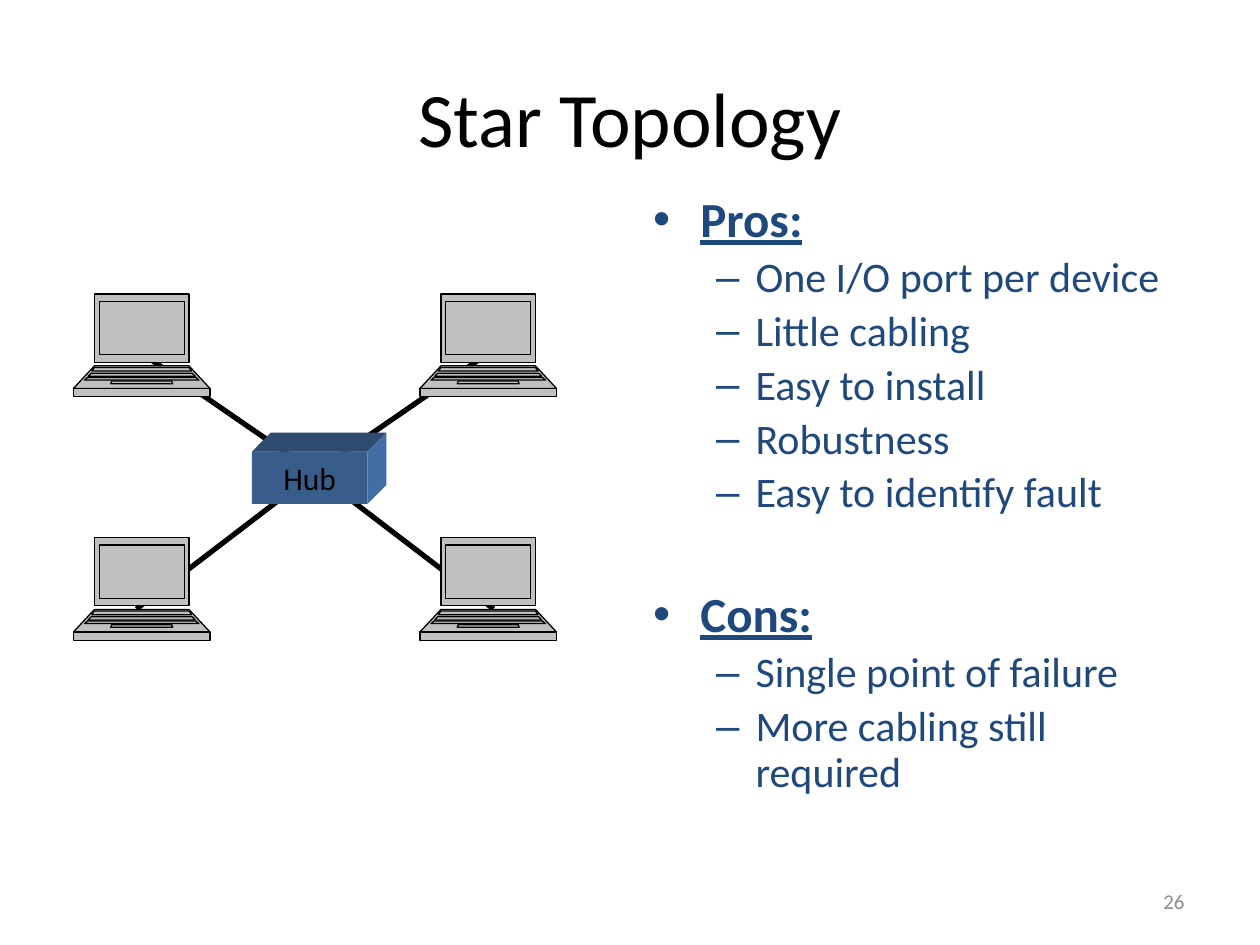
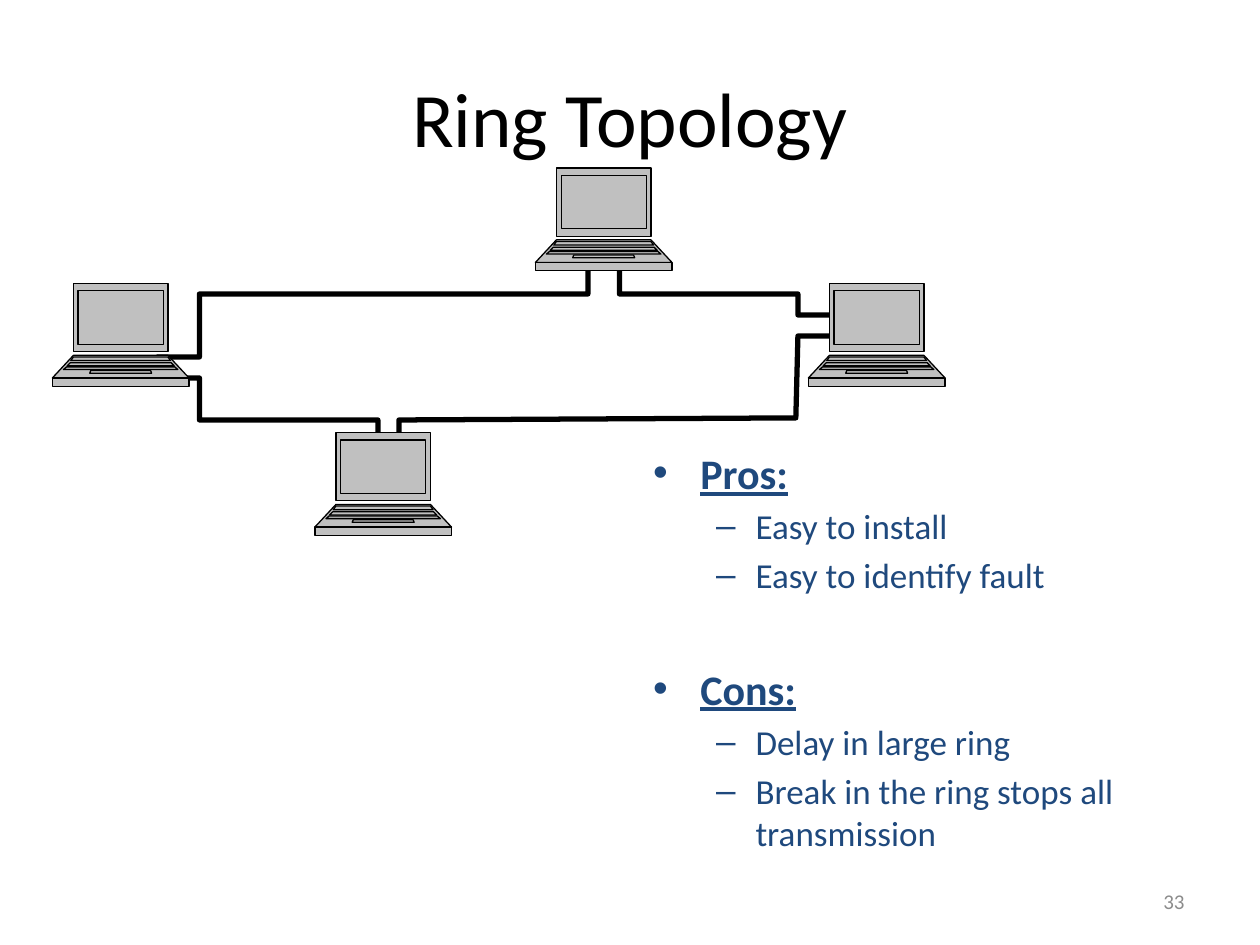
from lxml import etree
from pptx import Presentation
from pptx import util as u
from pptx.dml.color import RGBColor
from pptx.enum import shapes, text
from pptx.oxml.ns import qn

CELL = u.Inches(1) / 12  # the slide is a grid of 120 columns by 90 rows
FONT = "Calibri"
BLACK = RGBColor(0x00, 0x00, 0x00)
NAVY = RGBColor(0x1F, 0x49, 0x7D)
GRAY = RGBColor(0x8C, 0x8C, 0x8C)
SILVER = RGBColor(0xC0, 0xC0, 0xC0)
HUB_FRONT = RGBColor(0x38, 0x5D, 0x8A)
HUB_TOP = RGBColor(0x2F, 0x4B, 0x70)
HUB_SIDE = RGBColor(0x42, 0x6E, 0xA6)

# Each laptop part is symmetric: top, bottom, half width at top and at bottom
LAPTOP_CENTER = 6.5
LAPTOP_PARTS = {
    "lid": (0, 6.5, 4.5, 4.5),
    "deck": (6.85, 9, 4.5, 6.5),
    "base": (9, 9.8, 6.5, 6.5),
    "screen": (0.7, 5.8, 4.05, 4.05),
    "upper keys": (7, 7.35, 4.5, 4.75),
    "touchpad": (8.3, 8.55, 2.85, 2.95),
    "middle keys": (7.55, 7.85, 4.8, 5.1),
    "lower keys": (7.95, 8.2, 5.15, 5.45),
}


def cells(*values):
    return [u.Emu(round(value * CELL)) for value in values]


def place(shape, column, row, columns, rows):
    shape.left, shape.top, shape.width, shape.height = cells(column, row, columns, rows)


def add_run(paragraph, words, size, color, bold=None, underline=None):
    run = paragraph.add_run()
    run.text = words
    font = run.font
    font.name, font.size, font.color.rgb = FONT, u.Pt(size), color
    font.bold, font.underline = bold, underline


def style_shape(shape, fill=None, line_width=None):
    shape.shadow.inherit = False
    if fill is None:
        shape.fill.background()
    else:
        shape.fill.solid()
        shape.fill.fore_color.rgb = fill
    if line_width is None:
        shape.line.fill.background()
    else:
        shape.line.color.rgb = BLACK
        shape.line.width = u.Pt(line_width)


def add_outline(slide, contours, closed=True):
    """Draw one freeform whose contours are lists of grid points."""
    builder = None
    for contour in contours:
        start, *rest = [cells(*point) for point in contour]
        if builder is None:
            builder = slide.shapes.build_freeform(*start)
        else:
            builder.move_to(*start)
        builder.add_line_segments(rest, close=closed)
    return builder.convert_to_shape()


def split_contours(shape):
    """Give each contour its own path, so that overlapping parts stay filled."""
    first = shape.element.find(".//" + qn("a:path"))
    current = first
    for step in list(first)[1:]:
        if step.tag == qn("a:moveTo"):
            current = etree.SubElement(first.getparent(), first.tag, dict(first.attrib))
        if current is not first:
            current.append(step)


def add_laptop(slide, column, row):
    center = column + LAPTOP_CENTER
    contours = [
        [(center - upper, row + top), (center + upper, row + top),
         (center + lower, row + bottom), (center - lower, row + bottom)]
        for top, bottom, upper, lower in LAPTOP_PARTS.values()
    ]
    laptop = add_outline(slide, contours)
    split_contours(laptop)
    style_shape(laptop, SILVER, 0.75)


def add_hub(slide, column, row, columns=11, rows=5, depth=1.8):
    right, bottom = column + columns, row + rows
    back_right, back_top = right + depth, row - depth
    top = [(column, row), (column + depth, back_top), (back_right, back_top), (right, row)]
    side = [(right, row), (back_right, back_top), (back_right, bottom - depth), (right, bottom)]
    for face, color in ((top, HUB_TOP), (side, HUB_SIDE)):
        style_shape(add_outline(slide, [face]), color)
    front = slide.shapes.add_shape(
        shapes.MSO_SHAPE.RECTANGLE, *cells(column, row, columns, rows))
    style_shape(front, HUB_FRONT)
    frame = front.text_frame
    frame.word_wrap = False
    frame.vertical_anchor = text.MSO_ANCHOR.MIDDLE
    frame.paragraphs[0].alignment = text.PP_ALIGN.CENTER
    add_run(frame.paragraphs[0], "Hub", 18, BLACK)


def add_star_links(slide, center, ends):
    links = slide.shapes.add_group_shape()
    for end in ends:
        link = links.shapes.add_connector(
            shapes.MSO_CONNECTOR.STRAIGHT, *cells(*center, *end))
        link.line.color.rgb = BLACK
        link.line.width = u.Pt(3)
        etree.SubElement(link.element.spPr, qn("a:effectLst"))


def add_topology_slide(presentation, title, number):
    slide = presentation.slides.add_slide(presentation.slide_layouts[1])
    place(slide.shapes.title, 6, 3.6, 108, 15)
    frame = slide.shapes.title.text_frame
    frame.vertical_anchor = text.MSO_ANCHOR.MIDDLE
    frame.paragraphs[0].alignment = text.PP_ALIGN.CENTER
    add_run(frame.paragraphs[0], title, 44, BLACK)

    footer = slide.shapes.add_textbox(*cells(86, 83.4, 28, 4.8)).text_frame
    footer.word_wrap = True
    footer.vertical_anchor = text.MSO_ANCHOR.MIDDLE
    footer.paragraphs[0].alignment = text.PP_ALIGN.RIGHT
    add_run(footer.paragraphs[0], number, 12, GRAY)
    return slide


def fill_pros_and_cons(slide, area, sections, size, gap, line_spacing=1.0):
    """List each section's points, with a gap in points above later headings."""
    body = slide.placeholders[1]
    place(body, *area)
    frame = body.text_frame
    frame.auto_size = text.MSO_AUTO_SIZE.NONE
    paragraph = frame.paragraphs[0]
    paragraph.space_before = u.Pt(0)
    for index, (heading, points) in enumerate(sections.items()):
        if index:
            paragraph = frame.add_paragraph()
            paragraph.space_before = u.Pt(gap)
        paragraph.line_spacing = line_spacing
        add_run(paragraph, heading, size, NAVY, bold=True, underline=True)
        for point in points:
            paragraph = frame.add_paragraph()
            paragraph.level = 1
            paragraph.line_spacing = line_spacing
            paragraph.space_before = u.Pt((size - 4) * 0.2)
            add_run(paragraph, point, size - 4, NAVY)


def build_star(presentation):
    slide = add_topology_slide(presentation, "Star Topology", "26")
    fill_pros_and_cons(slide, (61, 18, 53, 65), {
        "Pros:": ["One I/O port per device", "Little cabling", "Easy to install",
                  "Robustness", "Easy to identify fault"],
        "Cons:": ["Single point of failure", "More cabling still required"],
    }, size=28, gap=42, line_spacing=0.9)
    add_star_links(slide, (30, 45), [(14, 34), (46, 34), (13, 58), (47, 58)])
    for row in (28, 51.2):
        for column in (7, 40):
            add_laptop(slide, column, row)
    add_hub(slide, 24, 43)


def build_ring(presentation):
    slide = add_topology_slide(presentation, "Ring Topology", "33")
    fill_pros_and_cons(slide, (61, 42, 53, 44), {
        "Pros:": ["Easy to install", "Easy to identify fault"],
        "Cons:": ["Delay in large ring", "Break in the ring stops all transmission"],
    }, size=24, gap=38.5)
    cable = [(36, 44), (36, 40), (19, 40), (19, 36), (15, 36), (15, 34), (19, 34),
             (19, 28), (56, 28), (56, 24), (59, 24), (59, 28), (76, 28), (76, 30),
             (80, 30), (80, 32), (76, 32), (75.8, 39.8), (38, 40), (38, 44)]
    style_shape(add_outline(slide, [cable], closed=False), line_width=3)
    for column, row in ((51, 16), (77, 27), (5, 27), (30, 41.2)):
        add_laptop(slide, column, row)


def main():
    presentation = Presentation()
    presentation.slide_width, presentation.slide_height = cells(120, 90)
    build_star(presentation)
    build_ring(presentation)
    presentation.save("out.pptx")


if __name__ == "__main__":
    main()
